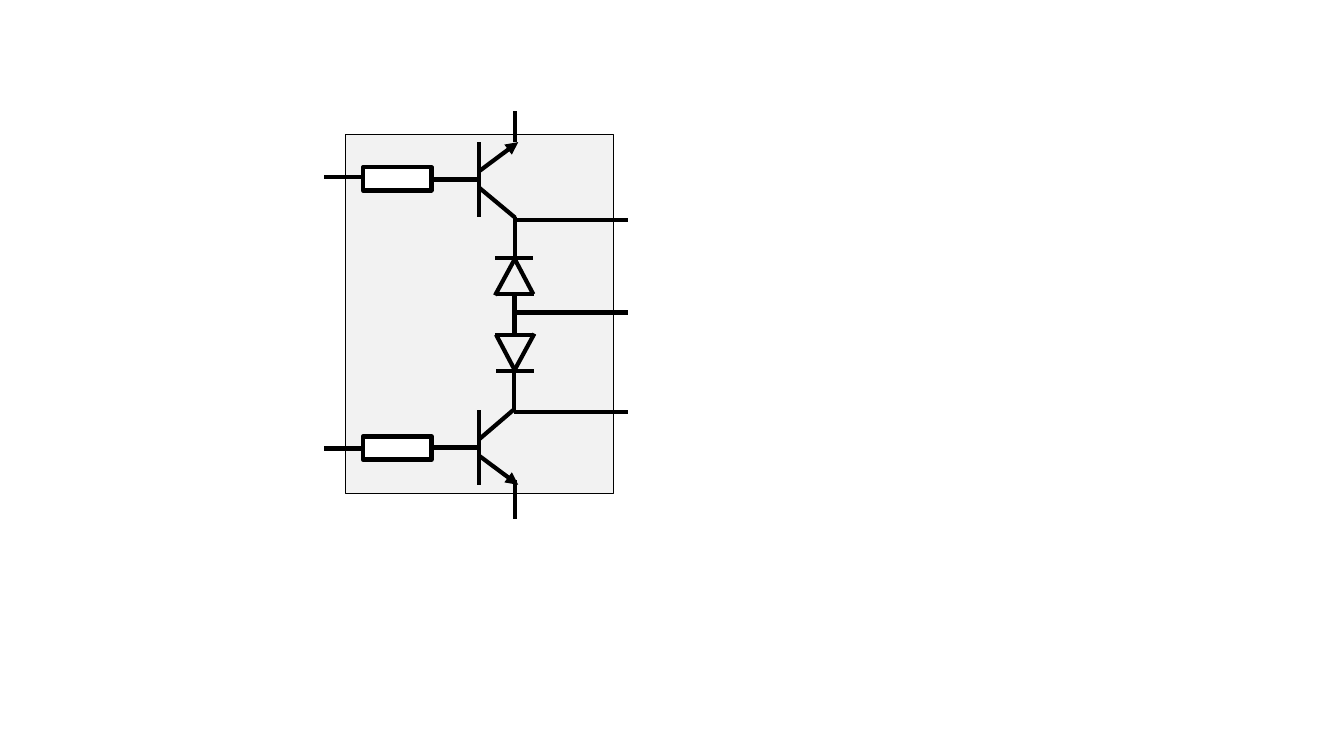
from pptx import Presentation
from pptx.dml.color import RGBColor
from pptx.enum.shapes import MSO_CONNECTOR, MSO_SHAPE
from pptx.oxml.ns import qn
from pptx.util import Inches, Pt
from lxml.etree import SubElement

COLORS = {"ink": "000000", "case": "F2F2F2", "body": "FFFFFF"}


class Board:
    """Draw circuit parts on one slide in a shared line style."""

    def __init__(self, slide):
        self.shapes = slide.shapes
        self.ink = RGBColor.from_string(COLORS["ink"])
        self.width = 3

    def box(self, x, y, w, h, fill, width):
        rect = self.shapes.add_shape(
            MSO_SHAPE.RECTANGLE, Inches(x), Inches(y), Inches(w), Inches(h))
        rect.shadow.inherit = False
        rect.fill.solid()
        rect.fill.fore_color.rgb = RGBColor.from_string(COLORS[fill])
        rect.line.color.rgb = self.ink
        rect.line.width = Pt(width)

    def wire(self, x1, y1, x2, y2, arrow=False):
        line = self.shapes.add_connector(
            MSO_CONNECTOR.STRAIGHT, Inches(x1), Inches(y1), Inches(x2), Inches(y2))
        line.line.color.rgb = self.ink
        line.line.width = Pt(self.width)
        props = line._element.spPr
        if arrow:
            SubElement(props.find(qn("a:ln")), qn("a:tailEnd"), type="triangle")
        SubElement(props, qn("a:effectLst"))

    def switch(self, base, side, joint):
        self.wire(4.28, base, 4.74, base)
        self.wire(4.75, base - 0.37, 4.75, base + 0.37)
        self.wire(joint, base - side * 0.38, 4.75, base - side * 0.08)
        self.wire(4.75, base + side * 0.08, 5.14, base + side * 0.37, arrow=True)

    def input(self, top, lead):
        self.box(3.6, top, 0.68, 0.23, "body", self.width)
        self.wire(3.6, lead, 3.21, lead)

    def diode(self, x, mid, side, joint):
        bar, foot = mid + side * 0.56, mid + side * 0.2
        self.wire(joint, mid + side * 0.97, joint, mid + side * 0.57)
        self.wire(x - 0.19, bar, x + 0.19, bar)
        self.wire(joint - 0.19, foot, joint + 0.19, foot)
        self.wire(x - side * 0.19, foot, x, bar)
        self.wire(x + side * 0.19, mid + side * 0.19, x, mid + side * 0.54)
        self.wire(joint, foot, joint, mid - side * 0.19)


def main():
    deck = Presentation()
    deck.slide_width, deck.slide_height = Inches(13.33), Inches(7.5)
    board = Board(deck.slides.add_slide(deck.slide_layouts[6]))
    board.box(3.43, 1.33, 2.65, 3.57, "case", 0.5)
    halves = [
        (-1, 1.78, 1.66, 1.76, 5.1, 5.11),
        (1, 4.44, 4.33, 4.45, 5.11, 5.1),
    ]
    for side, base, top, lead, x, joint in halves:
        board.switch(base, side, joint)
        board.input(top, lead)
        board.diode(x, 3.12, side, joint)
    for y in (2.18, 3.1, 4.09):
        board.wire(5.1, y, 6.23, y)
    for start, end in ((1.41, 1.1), (4.76, 5.15)):
        board.wire(5.11, start, 5.11, end)
    deck.save("out.pptx")


if __name__ == "__main__":
    main()
